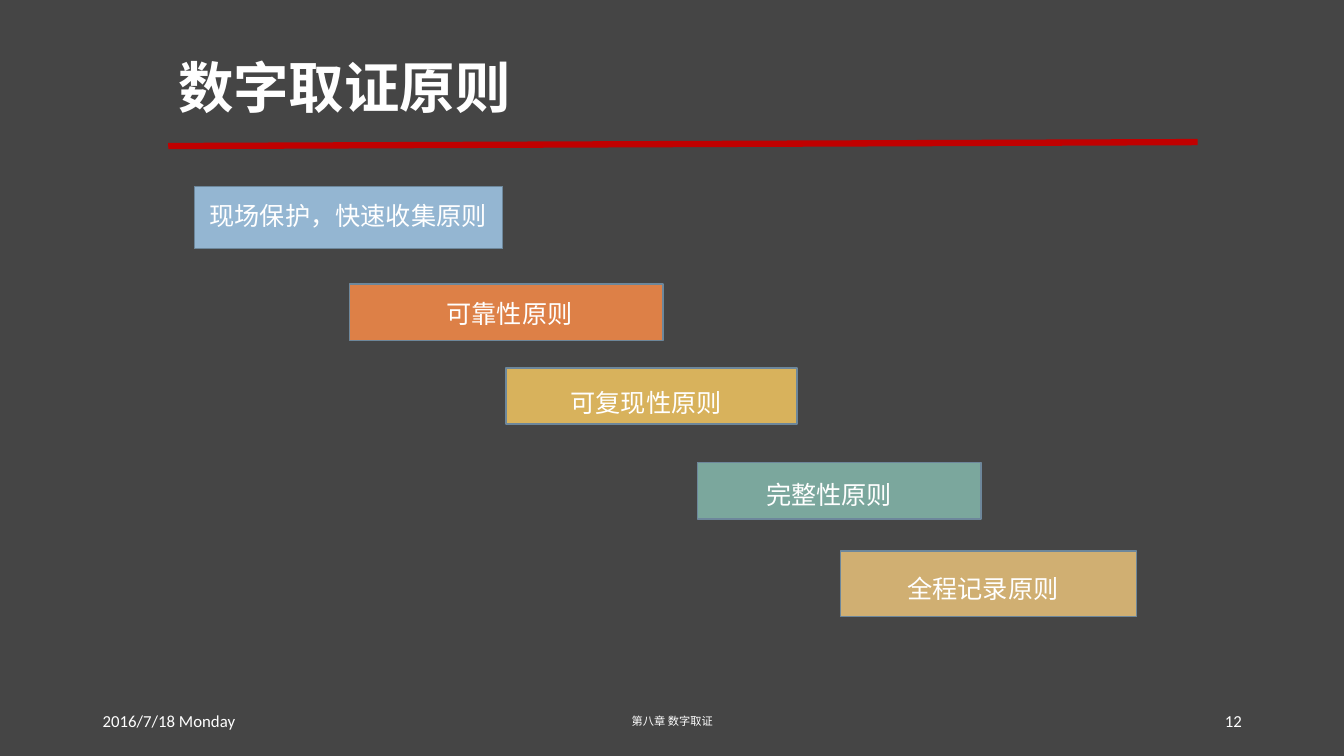
"""Build the slide on the principles of digital forensics."""
from lxml.etree import SubElement
from pptx import Presentation
from pptx.dml.color import RGBColor
from pptx.enum.shapes import MSO_CONNECTOR, MSO_SHAPE
from pptx.enum.text import MSO_ANCHOR as Anchor, PP_ALIGN as Align
from pptx.oxml.ns import qn
from pptx.util import Cm, Pt

COLOURS = {
    "background": "454545", "text": "FFFFFF", "rule": "C00000", "border": "6D879B",
    "blue": "94B6D2", "orange": "DD8047", "gold": "D8B25C",
    "green": "7BA79D", "sand": "D0AF72",
}
LATIN, CJK = "Calibri", "Noto Sans CJK SC"
LABEL_HEIGHT = 1.03
PRINCIPLES = [
    ("现场保护，快速收集原则", "blue", (4.9, 4.7, 7.77, 1.57), (4.95, 4.93, 7.65)),
    ("可靠性原则", "orange", (8.81, 7.16, 7.9, 1.42), (9.12, 7.39, 7.44)),
    ("可复现性原则", "gold", (12.75, 9.27, 7.34, 1.42), (12.83, 9.63, 6.91)),
    ("完整性原则", "green", (17.58, 11.66, 7.14, 1.42), (17.68, 11.96, 6.43)),
    ("全程记录原则", "sand", (21.18, 13.89, 7.47, 1.65), (21.39, 14.33, 6.76)),
]
FOOTERS = [
    ("2016/7/18 Monday", 2.34, 7.62, 12, Align.LEFT),
    ("第八章 数字取证", 11.23, 11.43, 8, Align.CENTER),
    ("12", 23.93, 7.62, 12, Align.RIGHT),
]


def colour(key):
    return RGBColor.from_string(COLOURS[key])


def add_text(slide, wording, box, size, align, anchor=Anchor.MIDDLE, bold=False):
    frame = slide.shapes.add_textbox(*map(Cm, box)).text_frame
    for attribute, value in {"word_wrap": True, "vertical_anchor": anchor}.items():
        setattr(frame, attribute, value)
    paragraph = frame.paragraphs[0]
    paragraph.alignment = align
    run = paragraph.add_run()
    run.text = wording
    for attribute, value in {"name": LATIN, "size": Pt(size), "bold": bold}.items():
        setattr(run.font, attribute, value)
    run.font.color.rgb = colour("text")
    SubElement(run.font._element, qn("a:ea"), typeface=CJK)
    return paragraph


def add_title(slide, wording):
    title = add_text(slide, wording, (4.24, 0.45, 25.93, 3.68), 39.6, Align.LEFT, bold=True)
    title.line_spacing = 0.9


def add_rule(slide, start, end):
    rule = slide.shapes.add_connector(MSO_CONNECTOR.STRAIGHT, *map(Cm, start + end))
    rule.line.color.rgb = colour("rule")
    rule.line.width = Pt(4.5)
    SubElement(rule._element.spPr, qn("a:effectLst"))


def add_principle(slide, wording, fill, bar_box, label_box):
    bar = slide.shapes.add_shape(MSO_SHAPE.RECTANGLE, *map(Cm, bar_box))
    bar.shadow.inherit = False
    bar.fill.solid()
    bar.fill.fore_color.rgb = colour(fill)
    bar.line.color.rgb = colour("border")
    bar.line.width = Pt(1)
    add_text(slide, wording, (*label_box, LABEL_HEIGHT), 18, Align.CENTER, Anchor.TOP)


def main():
    deck = Presentation()
    deck.slide_width, deck.slide_height = Cm(33.87), Cm(19.05)
    slide = deck.slides.add_slide(deck.slide_layouts[6])
    slide.background.fill.solid()
    slide.background.fill.fore_color.rgb = colour("background")
    add_rule(slide, (4.24, 3.68), (30.18, 3.58))
    add_title(slide, "数字取证原则")
    for wording, left, width, size, align in FOOTERS:
        add_text(slide, wording, (left, 17.65, width, 1.02), size, align)
    for principle in PRINCIPLES:
        add_principle(slide, *principle)
    deck.save("out.pptx")


if __name__ == "__main__":
    main()
